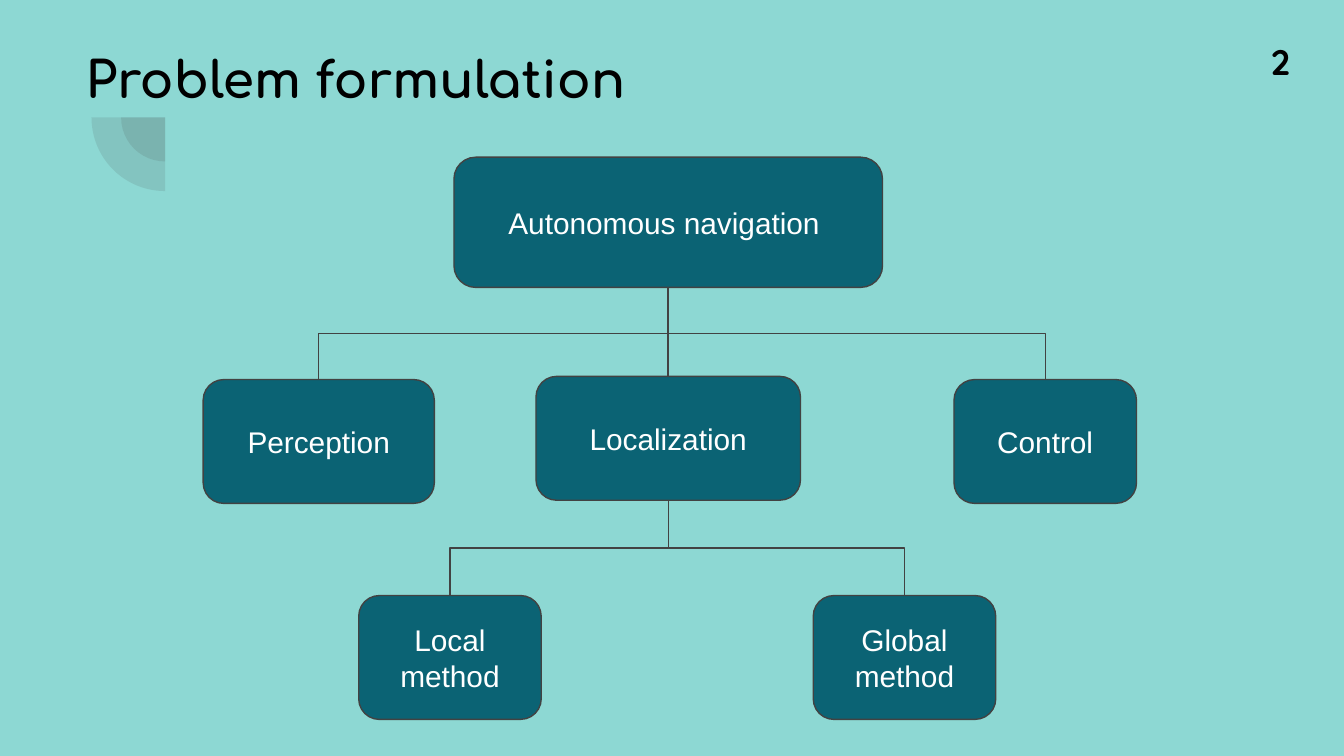
from lxml.etree import SubElement
from pptx import Presentation
from pptx.dml.color import RGBColor
from pptx.enum.shapes import MSO_CONNECTOR, MSO_SHAPE
from pptx.enum.text import MSO_ANCHOR, MSO_AUTO_SIZE, PP_ALIGN
from pptx.oxml.ns import qn
from pptx.util import Cm, Pt

MINT = RGBColor(0x8D, 0xD8, 0xD3)
TEAL = RGBColor(0x0B, 0x63, 0x74)
GRAY = RGBColor(0x42, 0x42, 0x42)
WHITE = RGBColor(0xFF, 0xFF, 0xFF)
BLACK = RGBColor(0, 0, 0)


class Chart:
    """Draws a tree of boxes on one slide."""

    pad = Cm(0.25)
    edge = Pt(0.75)

    def __init__(self, slide):
        self.slide = slide
        self.shapes = slide.shapes
        fill = slide.background.fill
        fill.solid()
        fill.fore_color.rgb = MINT

    def label(self, shape, text, font, size, color, bold=False,
              align=PP_ALIGN.LEFT, anchor=MSO_ANCHOR.TOP):
        frame = shape.text_frame
        frame.text = text
        frame.word_wrap = True
        frame.auto_size = MSO_AUTO_SIZE.NONE
        frame.vertical_anchor = anchor
        frame.margin_left = frame.margin_right = self.pad
        frame.margin_top = frame.margin_bottom = self.pad
        para = frame.paragraphs[0]
        para.alignment = align
        para.font.name = font
        para.font.size = Pt(size)
        para.font.bold = bold
        para.font.color.rgb = color

    def title(self, text, x, y, w, h):
        shape = self.shapes.title
        shape.left, shape.top, shape.width, shape.height = map(Cm, (x, y, w, h))
        self.label(shape, text, "Comfortaa", 27, BLACK, bold=True)

    def number(self, text, x, y, w, h):
        shape = self.shapes.add_textbox(*map(Cm, (x, y, w, h)))
        self.label(shape, text, "Quicksand", 19, BLACK, bold=True)

    def quarter(self, x, y, radius):
        """Lower left quarter of a disc centred on x, y."""
        size = Cm(2 * radius)
        shape = self.shapes.add_shape(
            MSO_SHAPE.PIE, Cm(x - radius), Cm(y - radius), size, size)
        shape.adjustments[0], shape.adjustments[1] = 54, 108
        shape.shadow.inherit = False
        shape.line.fill.background()
        shape.fill.solid()
        shape.fill.fore_color.rgb = GRAY
        tint = shape._element.spPr.find(".//" + qn("a:srgbClr"))
        SubElement(tint, qn("a:alpha"), val="13000")

    def box(self, text, x, y, w, h=2.34):
        shape = self.shapes.add_shape(
            MSO_SHAPE.ROUNDED_RECTANGLE, *map(Cm, (x, y, w, h)))
        shape.shadow.inherit = False
        shape.fill.solid()
        shape.fill.fore_color.rgb = TEAL
        shape.line.color.rgb = GRAY
        shape.line.width = self.edge
        self.label(shape, text, "Arial", 16, WHITE,
                   align=PP_ALIGN.CENTER, anchor=MSO_ANCHOR.MIDDLE)
        return shape

    def link(self, top, kid):
        """Elbow from the bottom of one box to the top of another."""
        line = self.shapes.add_connector(MSO_CONNECTOR.ELBOW, 0, 0, 0, 0)
        line.begin_connect(top, 2)
        line.end_connect(kid, 0)
        x1, y1 = top.left + top.width // 2, top.top + top.height
        x2, y2 = kid.left + kid.width // 2, kid.top
        # An elbow runs sideways, so it is laid out flat and then turned
        wide, high = y2 - y1, abs(x2 - x1)
        line.left, line.top = (x1 + x2 - wide) // 2, (y1 + y2 - high) // 2
        line.width, line.height = wide, high
        props = line._element.spPr
        right = x2 >= x1
        props.xfrm.rot = 270 if right else 90
        props.xfrm.flipH = right
        props.xfrm.flipV = False
        line.line.color.rgb = GRAY
        line.line.width = self.edge
        SubElement(props, qn("a:effectLst"))


def main():
    deck = Presentation()
    deck.slide_width, deck.slide_height = Cm(25.4), Cm(14.28)
    chart = Chart(deck.slides.add_slide(deck.slide_layouts[5]))

    # Corner ornament
    for radius in (0.83, 1.39):
        chart.quarter(3.12, 2.22, radius)

    # Heading
    chart.title("Problem formulation", 1.37, 0.66, 13.92, 1.68)
    chart.number("2", 23.77, 0.51, 1.6, 1.32)

    # Boxes
    root = chart.box("Autonomous navigation ", 8.58, 2.97, 8.1, 2.46)
    sense = chart.box("Perception", 3.84, 7.17, 4.37)
    place = chart.box("Localization", 10.13, 7.11, 5)
    steer = chart.box("Control", 18.03, 7.17, 3.45)
    near = chart.box("Local method", 6.78, 11.25, 3.45)
    far = chart.box("Global method", 15.37, 11.25, 3.45)

    # Branches
    for top, kids in ((root, (sense, place, steer)), (place, (near, far))):
        for kid in kids:
            chart.link(top, kid)

    deck.save("out.pptx")


if __name__ == "__main__":
    main()
